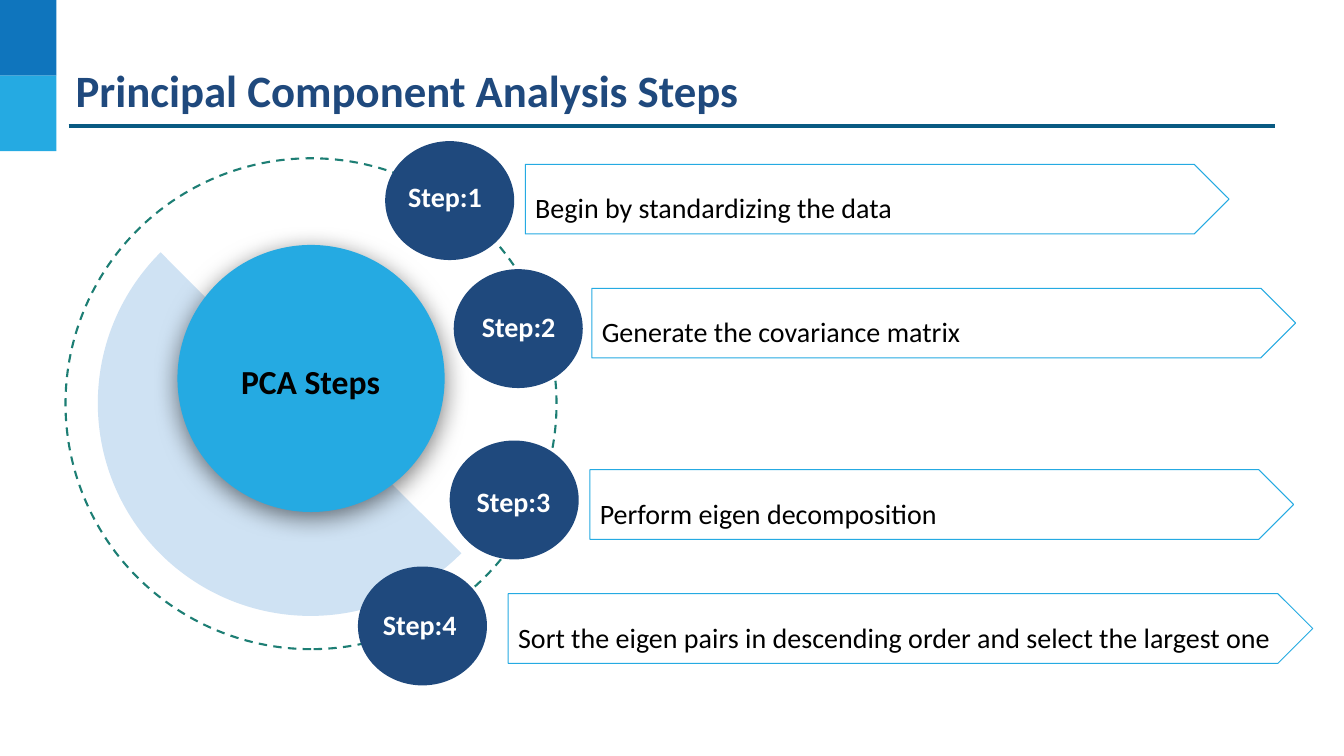
import pptx
import pptx.util
import pptx.dml.color
import pptx.enum.dml
import pptx.enum.shapes
import pptx.enum.text
import pptx.oxml
import pptx.oxml.ns

Inches = pptx.util.Inches
Pt = pptx.util.Pt
KIND = pptx.enum.shapes.MSO_SHAPE
ALIGN = pptx.enum.text.PP_ALIGN
MIDDLE = pptx.enum.text.MSO_ANCHOR.MIDDLE
NAVY, SKY, BLACK = "1F497D", "25AAE2", "000000"

deck = pptx.Presentation()
deck.slide_width, deck.slide_height = Inches(13.33), Inches(7.5)
slide = deck.slides.add_slide(deck.slide_layouts[6])


def paint(item, fill=None, edge=None, width=1):
    if fill:
        item.fill.solid()
        item.fill.fore_color.rgb = pptx.dml.color.RGBColor.from_string(fill)
    else:
        item.fill.background()
    if edge:
        item.line.color.rgb = pptx.dml.color.RGBColor.from_string(edge)
        item.line.width = Pt(width)
    else:
        item.line.fill.background()
    item.shadow.inherit = False


def write(item, text, size, color, bold=True, inset=0.1, align=ALIGN.LEFT, space=1.0, anchor=MIDDLE):
    frame = item.text_frame
    frame.word_wrap = True
    frame.vertical_anchor = anchor
    frame.margin_left = frame.margin_right = Inches(inset)
    frame.margin_top = frame.margin_bottom = Inches(inset)
    para = frame.paragraphs[0]
    para.alignment = align
    para.line_spacing = space
    run = para.add_run()
    run.text = text
    run.font.name = "Calibri"
    run.font.size = Pt(size)
    run.font.bold = bold
    run.font.color.rgb = pptx.dml.color.RGBColor.from_string(color)


shapes = slide.shapes
for row, color in enumerate(["0F75BD", SKY]):
    block = shapes.add_shape(KIND.RECTANGLE, 0, Inches(0.75 * row), Inches(0.56), Inches(0.75))
    paint(block, color)

rule = shapes.add_connector(pptx.enum.shapes.MSO_CONNECTOR.STRAIGHT,
                            Inches(0.68), Inches(1.25), Inches(12.65), Inches(1.25))
rule.line.color.rgb = pptx.dml.color.RGBColor.from_string("095A82")
rule.line.width = Pt(2.25)
rule._element.spPr.append(pptx.oxml.parse_xml(
    f'<a:effectLst {pptx.oxml.ns.nsdecls("a")}/>'))

title = shapes.add_textbox(Inches(0.73), Inches(0.47), Inches(12.29), Inches(0.83))
write(title, "Principal Component Analysis Steps", 32, NAVY, inset=0.02)

ring = shapes.add_shape(KIND.OVAL, Inches(0.65), Inches(1.57), Inches(4.87), Inches(4.87))
paint(ring, edge="1D7E74", width=1.5)
ring.line.dash_style = pptx.enum.dml.MSO_LINE.DASH
ring.rotation = 270

pie = shapes.add_shape(KIND.PIE, Inches(0.97), Inches(1.89), Inches(4.22), Inches(4.22))
pie.adjustments[0] = 26.9
pie.adjustments[1] = 135.11
paint(pie, "CFE2F3")

hub = shapes.add_shape(KIND.OVAL, Inches(1.76), Inches(2.43), Inches(2.65), Inches(2.65))
paint(hub, SKY)
glow = hub._element.spPr.find(pptx.oxml.ns.qn("a:effectLst"))
glow.append(pptx.oxml.parse_xml(
    f'<a:outerShdw {pptx.oxml.ns.nsdecls("a")} blurRad="{Pt(18)}" dist="{Pt(4)}" dir="5400000">'
    '<a:srgbClr val="000000"><a:alpha val="53000"/></a:srgbClr></a:outerShdw>'))
label = shapes.add_textbox(Inches(2.1), Inches(3.15), Inches(1.96), Inches(1.21))
write(label, "PCA Steps", 24, BLACK, inset=0.13, align=ALIGN.CENTER, space=1.15)

steps = [
    ("Begin by standardizing the data", 3.82, 1.4, 3.95, 1.68, 5.21, 1.63, 6.98),
    ("Generate the covariance matrix", 4.5, 2.67, 4.68, 2.97, 5.87, 2.86, 6.98),
    ("Perform eigen decomposition", 4.46, 4.37, 4.63, 4.71, 5.85, 4.66, 6.98),
    ("Sort the eigen pairs in descending order and select the largest one",
     3.55, 5.62, 3.7, 5.93, 5.04, 5.89, 7.98),
]
for num, (text, dot_x, dot_y, tag_x, tag_y, bar_x, bar_y, width) in enumerate(steps, 1):
    bar = shapes.add_shape(KIND.PENTAGON, Inches(bar_x), Inches(bar_y), Inches(width), Inches(0.69))
    bar.adjustments[0] = 0.5
    paint(bar, edge=SKY, width=0.75)
    write(bar, text, 20, BLACK, bold=False, space=1.5)
    dot = shapes.add_shape(KIND.OVAL, Inches(dot_x), Inches(dot_y), Inches(1.28), Inches(1.18))
    paint(dot, NAVY)
    tag = shapes.add_textbox(Inches(tag_x), Inches(tag_y), Inches(1.12), Inches(0.54))
    write(tag, f"Step:{num}", 20, "FFFFFF", anchor=pptx.enum.text.MSO_ANCHOR.TOP)

deck.save("out.pptx")
